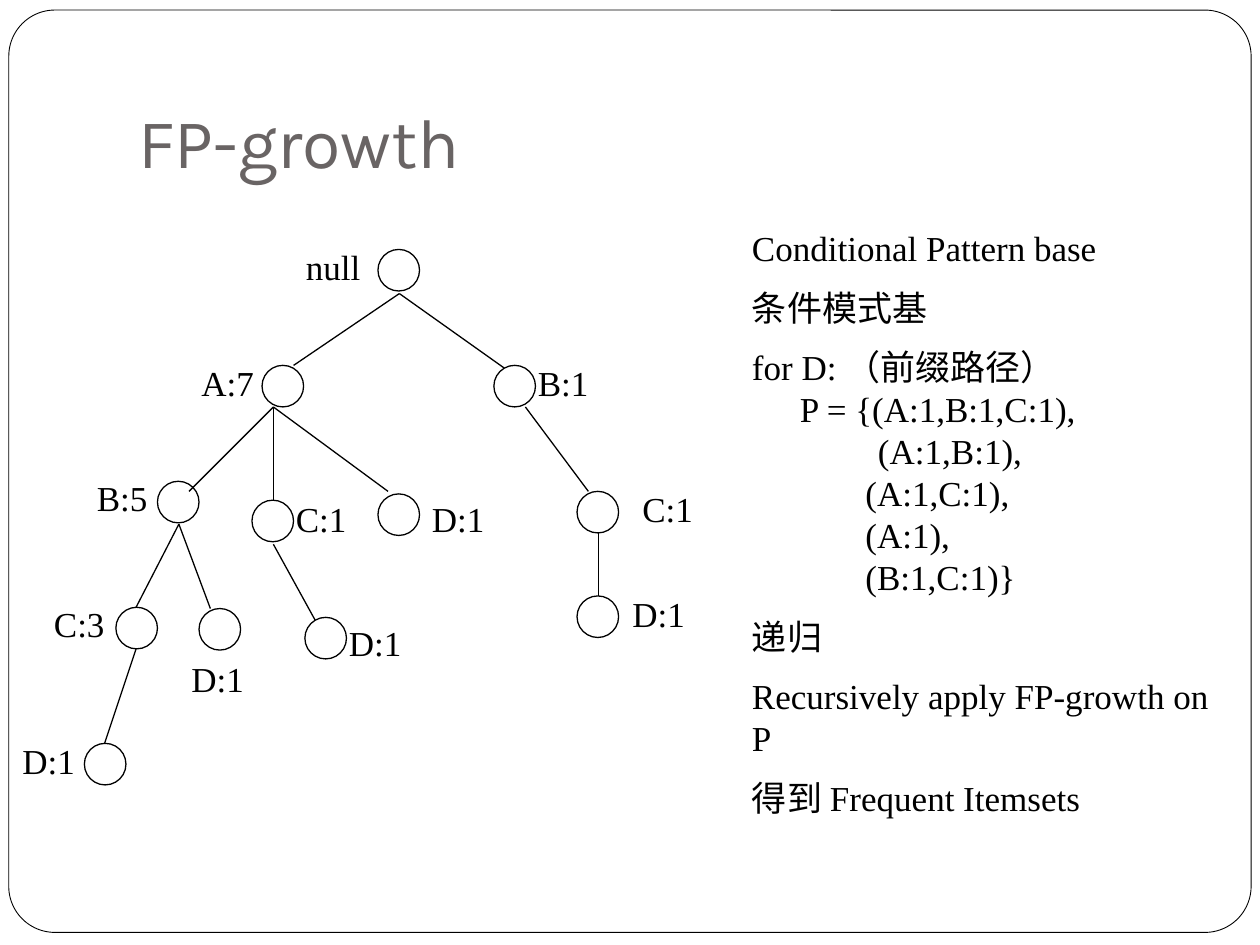
from pptx import Presentation
from pptx.dml.color import RGBColor
from pptx.enum.shapes import MSO_CONNECTOR, MSO_SHAPE
from pptx.enum.text import MSO_ANCHOR
from pptx.oxml.ns import qn
from pptx.util import Inches, Pt
from lxml import etree

COLORS = {"ink": "000000", "title": "696464", "paper": "FFFFFF"}
NODE_SIZE = 0.33
LABEL_WIDTH, LABEL_HEIGHT = 0.67, 0.43

# Node: circle left, top, label, label left, top (inches within the tree)
NODES = [
    (2.92, 0.08, "null", 2.25, 0),
    (2.0, 1.0, "A:7", 1.42, 0.92),
    (3.84, 1.0, "B:1", 4.09, 0.92),
    (1.17, 1.92, "B:5", 0.59, 1.83),
    (1.92, 2.07, "C:1", 2.17, 2.0),
    (2.92, 2.02, "D:1", 3.25, 2.0),
    (4.5, 2.0, "C:1", 4.92, 1.92),
    (0.84, 2.92, "C:3", 0.25, 2.83),
    (1.5, 2.93, "D:1", 1.34, 3.27),
    (2.34, 3.0, "D:1", 2.59, 2.98),
    (4.5, 2.83, "D:1", 4.84, 2.75),
    (0.59, 4.0, "D:1", 0, 3.92),
]

# Branches: lower end of a parent, then the upper ends of its children
BRANCHES = [
    ((3.09, 0.43), [(2.25, 1.0), (3.92, 1.02)]),
    ((2.09, 1.33), [(1.42, 2.0), (2.09, 2.08), (3.0, 2.0)]),
    ((4.09, 1.33), [(4.59, 2.0)]),
    ((4.67, 2.33), [(4.67, 2.83)]),
    ((1.34, 2.26), [(1.0, 2.92), (1.59, 2.93)]),
    ((2.09, 2.42), [(2.42, 3.02)]),
    ((1.0, 3.25), [(0.75, 4.0)]),
]

# Note lines: text, left indent in inches, space before in points
NOTES = [
    ("Conditional Pattern base", 0, 0),
    ("条件模式基", 0, 10),
    ("for D: （前缀路径）", 0, 10),
    ("P = {(A:1,B:1,C:1),", 0.38, 0),
    ("(A:1,B:1),", 1.0, 0),
    ("(A:1,C:1),", 0.9, 0),
    ("(A:1),", 0.9, 0),
    ("(B:1,C:1)}", 0.9, 0),
    ("递归", 0, 10),
    ("Recursively apply FP-growth on P", 0, 10),
    ("得到 Frequent Itemsets", 0, 10),
]


def color(name):
    return RGBColor.from_string(COLORS[name])


def write_line(para, text, size=20, font="Times New Roman", ink="ink",
               indent=0, before=0):
    para.space_before = Pt(before)
    if indent:
        para._p.get_or_add_pPr().set("marL", str(Inches(indent)))
    span = para.add_run()
    span.text = text
    span.font.size = Pt(size)
    span.font.name = font
    span.font.color.rgb = color(ink)


def add_text_box(page, left, top, width, height, anchor=MSO_ANCHOR.TOP):
    box = page.shapes.add_textbox(
        Inches(left), Inches(top), Inches(width), Inches(height))
    box.text_frame.word_wrap = True
    box.text_frame.vertical_anchor = anchor
    return box.text_frame


def add_outline(page, preset, left, top, width, height, weight):
    shape = page.shapes.add_shape(
        preset, Inches(left), Inches(top), Inches(width), Inches(height))
    shape.shadow.inherit = False
    shape.fill.background()
    shape.line.color.rgb = color("ink")
    shape.line.width = Pt(weight)
    return shape


def add_branch(page, start, end):
    line = page.shapes.add_connector(
        MSO_CONNECTOR.STRAIGHT, *(Inches(value) for value in start + end))
    line.line.color.rgb = color("ink")
    line.line.width = Pt(0.75)
    etree.SubElement(line._element.spPr, qn("a:effectLst"))


def add_frame(page, left, top, width, height):
    frame = add_outline(page, MSO_SHAPE.ROUNDED_RECTANGLE,
                        left, top, width, height, 0.5)
    frame.adjustments[0] = 0.05
    frame.fill.solid()
    frame.fill.fore_color.rgb = color("paper")


def add_title(page, left, top, width, height):
    text_frame = add_text_box(page, left, top, width, height, MSO_ANCHOR.BOTTOM)
    text_frame.margin_bottom = Inches(0.1)
    write_line(text_frame.paragraphs[0], "FP-growth",
               size=40, font="Karla", ink="title")


def add_tree(page, left, top):
    for (start_x, start_y), ends in BRANCHES:
        for end_x, end_y in ends:
            add_branch(page, (left + start_x, top + start_y),
                       (left + end_x, top + end_y))
    for x, y, label, label_x, label_y in NODES:
        add_outline(page, MSO_SHAPE.OVAL, left + x, top + y,
                    NODE_SIZE, NODE_SIZE, 0.75)
        text_frame = add_text_box(page, left + label_x, top + label_y,
                                  LABEL_WIDTH, LABEL_HEIGHT)
        write_line(text_frame.paragraphs[0], label)


def add_notes_column(page, left, top, width, height):
    text_frame = add_text_box(page, left, top, width, height)
    for index, (text, indent, before) in enumerate(NOTES):
        para = text_frame.add_paragraph() if index else text_frame.paragraphs[0]
        write_line(para, text, indent=indent, before=before)


def main():
    deck = Presentation()
    deck.slide_width, deck.slide_height = Inches(10), Inches(7.5)
    page = deck.slides.add_slide(deck.slide_layouts[6])
    add_frame(page, 0.07, 0.08, 9.86, 7.32)
    add_title(page, 1, 0.3, 8.5, 1.25)
    add_tree(page, 0.08, 1.9)
    add_notes_column(page, 5.87, 1.75, 3.97, 4.98)
    deck.save("out.pptx")


if __name__ == "__main__":
    main()
